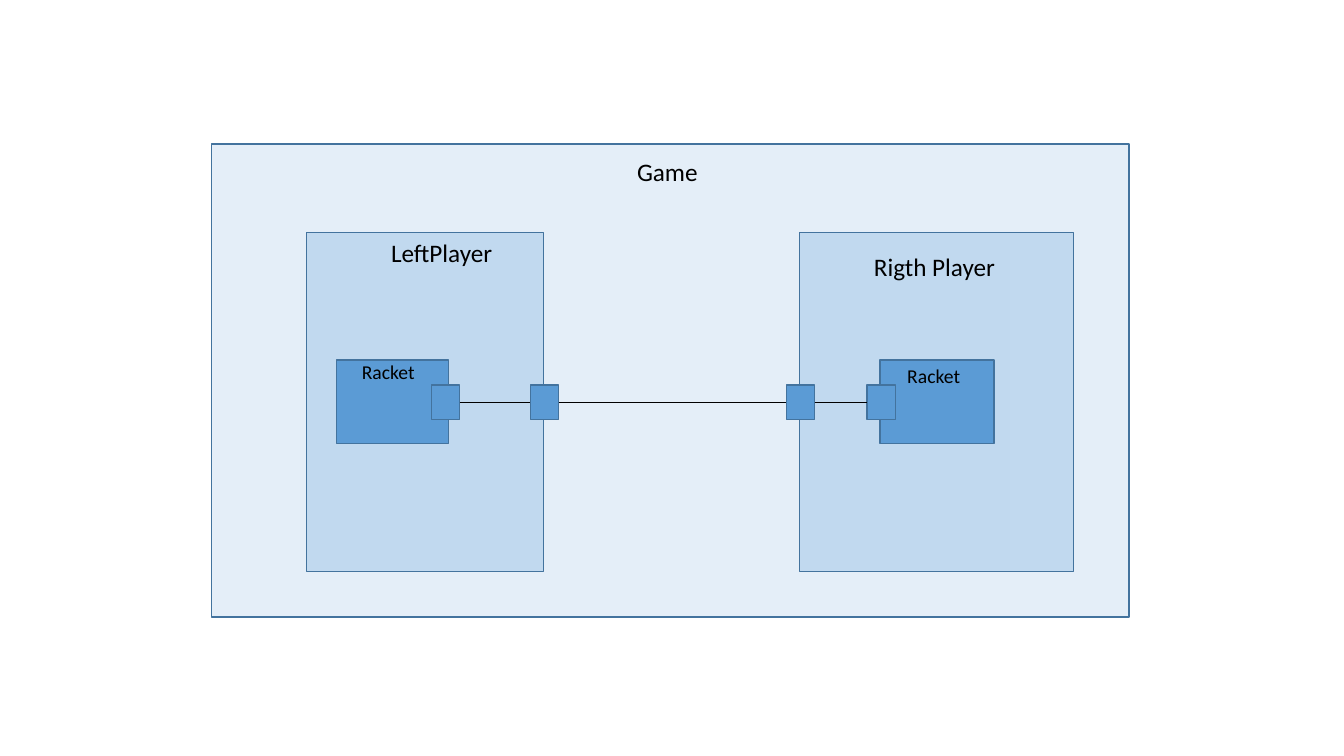
from typing import NamedTuple

from lxml.etree import SubElement
from pptx import Presentation
from pptx.dml.color import RGBColor
from pptx.enum.shapes import MSO_CONNECTOR, MSO_SHAPE
from pptx.enum.text import MSO_AUTO_SIZE
from pptx.oxml.ns import qn
from pptx.slide import Slide
from pptx.util import Inches, Pt

COLORS = {"block": "5B9BD5", "outline": "43739E", "ink": "000000"}
FONT = "Calibri"
PORT_WIDTH, PORT_HEIGHT = 0.28, 0.34
PORT_TOP = 3.82
WIRE_Y = PORT_TOP + PORT_HEIGHT / 2


class Block(NamedTuple):
    """A rectangle in inches, with its opacity in percent."""
    left: float
    top: float
    width: float
    height: float
    opacity: int = 100


class Label(NamedTuple):
    """A one-line caption, in inches and points."""
    text: str
    left: float
    top: float
    width: float
    height: float = 0.4
    size: int = 18


GAME = Block(2.1, 1.43, 9.1, 4.69, 16)
PLAYERS = [Block(3.04, 2.31, 2.35, 3.36, 25), Block(7.93, 2.31, 2.72, 3.36, 25)]
RACKETS = [Block(3.34, 3.57, 1.11, 0.83), Block(8.73, 3.57, 1.13, 0.83)]
PORT_LEFTS = [4.28, 5.26, 7.8, 8.6]
PORTS = [Block(left, PORT_TOP, PORT_WIDTH, PORT_HEIGHT) for left in PORT_LEFTS]
LABELS = [
    Label("Game", 6.22, 1.5, 0.87),
    Label("LeftPlayer", 3.78, 2.31, 1.28),
    Label("Rigth Player", 8.57, 2.44, 1.46),
    Label("Racket", 3.49, 3.52, 0.96, 0.34, 14),
    Label("Racket", 8.9, 3.56, 0.96, 0.34, 14),
]


def color(name: str) -> RGBColor:
    """Look up a named colour."""
    return RGBColor.from_string(COLORS[name])


def draw_block(slide: Slide, block: Block) -> None:
    """Draw an outlined rectangle, translucent where asked."""
    rect = slide.shapes.add_shape(
        MSO_SHAPE.RECTANGLE, Inches(block.left), Inches(block.top),
        Inches(block.width), Inches(block.height))
    rect.shadow.inherit = False
    rect.fill.solid()
    rect.fill.fore_color.rgb = color("block")
    rect.line.color.rgb = color("outline")
    rect.line.width = Pt(1)
    if block.opacity < 100:
        fill_color = rect._element.spPr.find(qn("a:solidFill"))[0]
        SubElement(fill_color, qn("a:alpha"), val=str(block.opacity * 1000))


def draw_wire(slide: Slide, start: float, end: float) -> None:
    """Join two ports with a thin horizontal line."""
    wire = slide.shapes.add_connector(
        MSO_CONNECTOR.STRAIGHT, Inches(start), Inches(WIRE_Y),
        Inches(end), Inches(WIRE_Y))
    wire.line.color.rgb = color("ink")
    wire.line.width = Pt(0.5)
    SubElement(wire._element.spPr, qn("a:effectLst"))


def draw_label(slide: Slide, label: Label) -> None:
    """Write a caption in a text box that grows with its text."""
    frame = slide.shapes.add_textbox(
        Inches(label.left), Inches(label.top),
        Inches(label.width), Inches(label.height)).text_frame
    frame.word_wrap = True
    frame.auto_size = MSO_AUTO_SIZE.SHAPE_TO_FIT_TEXT
    run = frame.paragraphs[0].add_run()
    run.text = label.text
    run.font.name = FONT
    run.font.size = Pt(label.size)
    run.font.color.rgb = color("ink")


def main() -> None:
    """Build the game diagram and save it."""
    deck = Presentation()
    deck.slide_width, deck.slide_height = Inches(13.33), Inches(7.5)
    slide = deck.slides.add_slide(deck.slide_layouts[6])
    for block in [GAME, *PLAYERS, *RACKETS, *PORTS]:
        draw_block(slide, block)
    for port, neighbour in zip(PORTS, PORTS[1:]):
        draw_wire(slide, port.left + port.width, neighbour.left)
    for label in LABELS:
        draw_label(slide, label)
    deck.save("out.pptx")


main()
